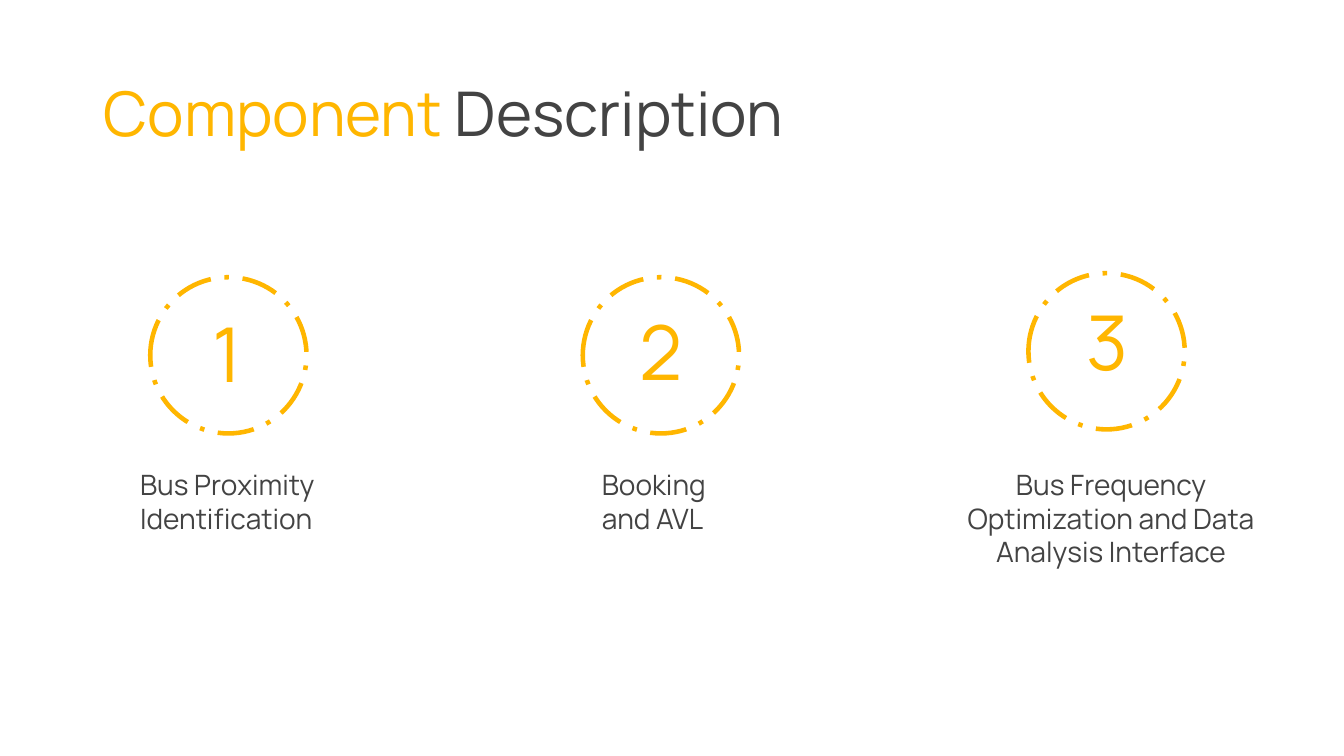
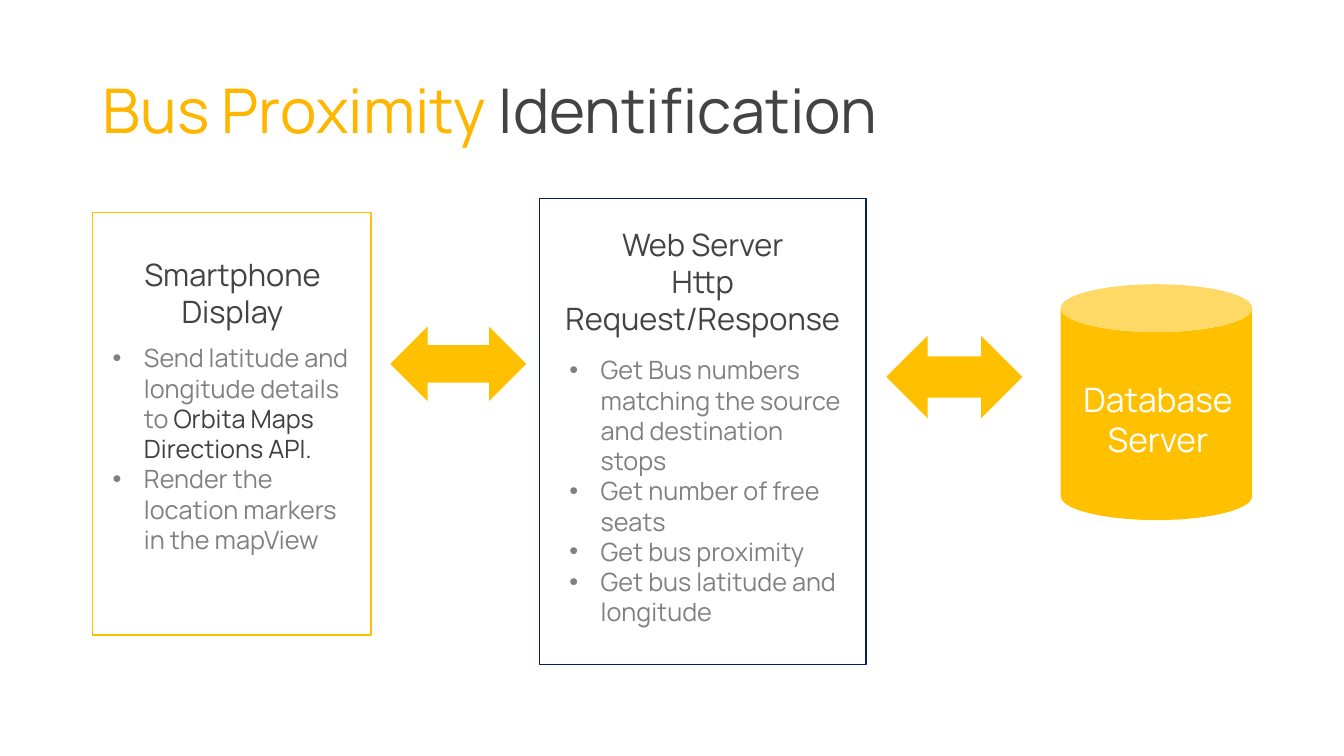
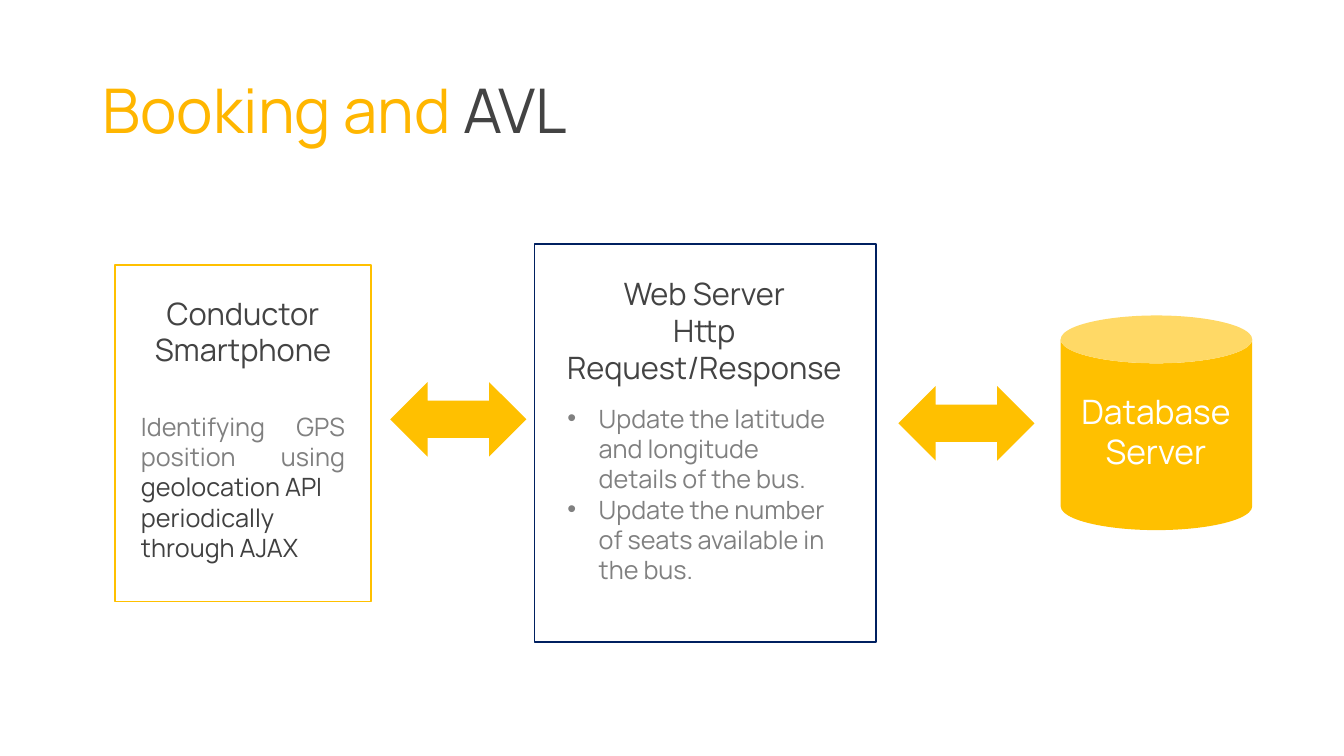
"""Builds three slides on the components of a bus tracking system."""
from lxml import etree
from pptx import Presentation
from pptx.dml.color import RGBColor
from pptx.enum import dml, shapes, text
from pptx.oxml import ns
from pptx.util import Inches, Pt

FONT = "Manrope"
AMBER = RGBColor(0xFF, 0xB6, 0x00)
GOLD = RGBColor(0xFF, 0xC0, 0x00)
NAVY = RGBColor(0x00, 0x20, 0x60)
DARK = RGBColor(0x43, 0x43, 0x43)
CHARCOAL = RGBColor(0x40, 0x40, 0x40)
GREY = RGBColor(0x80, 0x80, 0x80)
WHITE = RGBColor(0xFF, 0xFF, 0xFF)
LEFT, CENTER, JUSTIFY = text.PP_ALIGN.LEFT, text.PP_ALIGN.CENTER, text.PP_ALIGN.JUSTIFY
BULLET_INDENT = Inches(0.31)


def add_text(slide, box, size, paragraphs, alignment=LEFT, bullet=False, title=False):
    """Add a text box; each paragraph is a list of (words, colour) runs."""
    frame = slide.shapes.add_textbox(*map(Inches, box)).text_frame
    frame.word_wrap = True
    if title:
        frame.vertical_anchor = text.MSO_ANCHOR.MIDDLE
    for index, runs in enumerate(paragraphs):
        paragraph = frame.add_paragraph() if index else frame.paragraphs[0]
        paragraph.alignment = alignment
        if title:
            paragraph.line_spacing = 0.9
        if bullet:
            properties = paragraph._p.get_or_add_pPr()
            properties.set("marL", str(BULLET_INDENT))
            properties.set("indent", str(-BULLET_INDENT))
            etree.SubElement(properties, ns.qn("a:buFont")).set("typeface", "Arial")
            etree.SubElement(properties, ns.qn("a:buChar")).set("char", "•")
        for words, colour in runs:
            run = paragraph.add_run()
            run.text = words
            run.font.name = FONT
            run.font.size = Pt(size)
            run.font.color.rgb = colour


def add_figure(slide, kind, box, fill=None, line=None, width=1, dash=None):
    """Add a preset shape that is either filled or outlined."""
    shape = slide.shapes.add_shape(kind, *map(Inches, box))
    shape.shadow.inherit = False
    if fill is None:
        shape.fill.background()
    else:
        shape.fill.solid()
        shape.fill.fore_color.rgb = fill
    if line is None:
        shape.line.fill.background()
    else:
        shape.line.color.rgb = line
        shape.line.width = Pt(width)
        if dash is not None:
            shape.line.dash_style = dash


presentation = Presentation()
presentation.slide_width = Inches(13.33)
presentation.slide_height = Inches(7.5)

titles = [
    ("Component ", "Description", 0.93, 0.43),
    ("Bus Proximity ", "Identification", 0.92, 0.4),
    ("Booking and ", "AVL", 0.92, 0.4),
]
slides = []
for accent, rest, left, top in titles:
    slide = presentation.slides.add_slide(presentation.slide_layouts[6])
    add_text(slide, (left, top, 11.5, 1.45), 44, [[(accent, AMBER), (rest, DARK)]], title=True)
    slides.append(slide)

components = [
    ("1", (1.49, 2.75), (2.01, 3), "Bus Proximity Identification", (1.29, 4.59, 2.12, 0.77), LEFT),
    ("2", (5.78, 2.75), (6.24, 2.98), "Booking and AVL", (5.87, 4.59, 1.41, 0.77), LEFT),
    ("3", (10.2, 2.71), (10.68, 2.88), "Bus Frequency Optimization and Data Analysis Interface",
     (9.36, 4.59, 3.32, 1.11), CENTER),
]
for number, circle, number_corner, label, label_box, alignment in components:
    add_figure(slides[0], shapes.MSO_SHAPE.OVAL, (*circle, 1.55, 1.55),
               line=AMBER, width=3.25, dash=dml.MSO_LINE.LONG_DASH_DOT)
    add_text(slides[0], (*number_corner, 0.68, 1.01), 54, [[(number, AMBER)]])
    add_text(slides[0], label_box, 20, [[(label, DARK)]], alignment)

web_server = ["Web Server", "Http Request/Response"]
diagrams = [
    {
        "panels": [((0.92, 2.11, 2.76, 4.19), GOLD), ((5.35, 1.97, 3.24, 4.62), NAVY)],
        "headings": [((1.27, 2.49, 2.07, 0.84), ["Smartphone Display"]),
                     ((5.35, 2.19, 3.24, 1.21), web_server)],
        "details": [
            ((1.02, 3.35, 2.56, 2.52), LEFT, True, [
                [("Send latitude and longitude details to ", GREY),
                 ("Orbita Maps Directions API.", CHARCOAL)],
                [("Render the location markers in the mapView", GREY)]]),
            ((5.55, 3.47, 2.97, 2.83), LEFT, True, [
                [("Get Bus numbers matching the source and destination stops", GREY)],
                [("Get number of free seats", GREY)],
                [("Get bus proximity", GREY)],
                [("Get bus latitude and longitude", GREY)]]),
        ],
        "arrows": [(3.87, 3.24, 1.35, 0.74), (8.79, 3.33, 1.35, 0.82)],
        "database": (10.52, 2.82, 1.9, 2.34),
        "database_label": (10.61, 3.71, 1.75, 0.91),
    },
    {
        "panels": [((1.14, 2.63, 2.54, 3.34), GOLD), ((5.3, 2.42, 3.39, 3.95), NAVY)],
        "headings": [((1.38, 2.87, 2.06, 0.84), ["Conductor Smartphone"]),
                     ((5.3, 2.68, 3.37, 1.21), web_server)],
        "details": [
            ((1.3, 4.03, 2.22, 1.62), JUSTIFY, False, [
                [("Identifying GPS position using ", GREY), ("geolocation API", CHARCOAL)],
                [("periodically through AJAX", CHARCOAL)]]),
            ((5.53, 3.95, 2.89, 1.92), LEFT, True, [
                [("Update the latitude and longitude details of the bus.", GREY)],
                [("Update the number of seats available in the bus.", GREY)]]),
        ],
        "arrows": [(3.87, 3.79, 1.35, 0.74), (8.91, 3.83, 1.35, 0.74)],
        "database": (10.52, 3.13, 1.9, 2.13),
        "database_label": (10.61, 3.83, 1.71, 0.91),
    },
]
for slide, diagram in zip(slides[1:], diagrams):
    for box, colour in diagram["panels"]:
        add_figure(slide, shapes.MSO_SHAPE.RECTANGLE, box, line=colour)
    for box, lines in diagram["headings"]:
        add_text(slide, box, 22, [[(line, DARK)] for line in lines], CENTER)
    for box, alignment, bullet, paragraphs in diagram["details"]:
        add_text(slide, box, 18, paragraphs, alignment, bullet)
    for box in diagram["arrows"]:
        add_figure(slide, shapes.MSO_SHAPE.LEFT_RIGHT_ARROW, box, fill=GOLD)
    add_figure(slide, shapes.MSO_SHAPE.CAN, diagram["database"], fill=GOLD)
    add_text(slide, diagram["database_label"], 24, [[("Database Server", WHITE)]], CENTER)

presentation.save("out.pptx")
